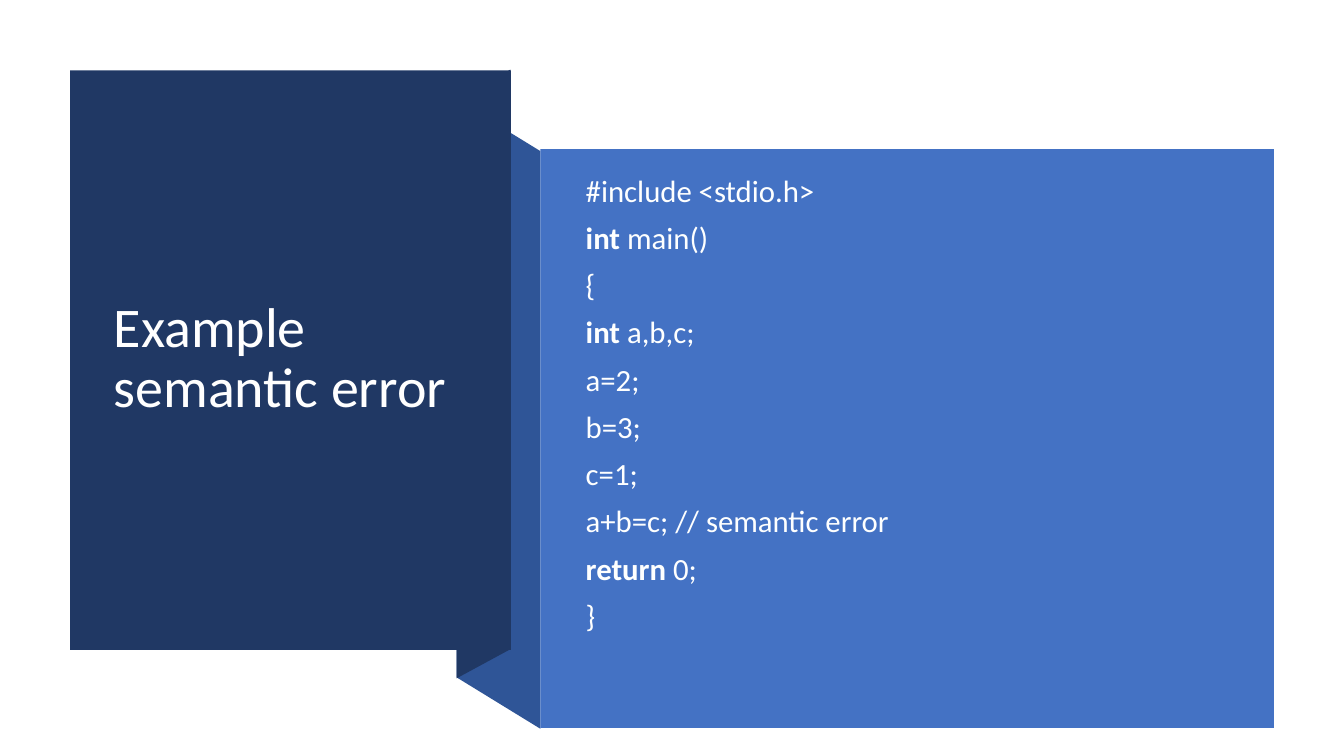
from dataclasses import dataclass

from lxml import etree
from pptx import Presentation
from pptx.dml.color import RGBColor
from pptx.enum.shapes import MSO_SHAPE
from pptx.enum.text import MSO_ANCHOR, MSO_AUTO_SIZE, PP_ALIGN
from pptx.oxml.ns import qn
from pptx.util import Pt

RECTANGLE = MSO_SHAPE.RECTANGLE
MIDDLE = MSO_ANCHOR.MIDDLE
NO_AUTOFIT = MSO_AUTO_SIZE.NONE
LEFT = PP_ALIGN.LEFT


@dataclass(frozen=True)
class Theme:
    navy: RGBColor = RGBColor(0x20, 0x38, 0x64)
    fold: RGBColor = RGBColor(0x2F, 0x55, 0x97)
    blue: RGBColor = RGBColor(0x44, 0x72, 0xC4)
    title_text: RGBColor = RGBColor(0xFF, 0xFF, 0xFF)
    code_text: RGBColor = RGBColor(0xFE, 0xFF, 0xFF)
    font: str = "Calibri"
    title_size: float = 40
    code_size: float = 22


@dataclass(frozen=True)
class Box:
    left: float
    top: float
    width: float
    height: float

    def inset(self, left, top, right, bottom):
        return Box(self.left + left, self.top + top,
                   self.width - left - right, self.height - top - bottom)

    def lengths(self):
        return [Pt(n) for n in (self.left, self.top, self.width, self.height)]


THEME = Theme()
KEYWORDS = ("int", "return")
TITLE = "Example semantic error"
CODE = [
    "#include <stdio.h>",
    "int main()",
    "{",
    "int a,b,c;",
    "a=2;",
    "b=3;",
    "c=1;",
    "a+b=c; // semantic error",
    "return 0;",
    "}",
]


def paint(shape, color):
    shape.shadow.inherit = False
    shape.fill.solid()
    shape.fill.fore_color.rgb = color
    shape.line.fill.background()


def add_panel(slide, box, color):
    paint(slide.shapes.add_shape(RECTANGLE, *box.lengths()), color)


def add_fold_face(slide, box, slant, color):
    """Draw an upright parallelogram; a positive slant lowers its right edge."""
    left, right = box.left, box.left + box.width
    left_drop, right_drop = max(-slant, 0), max(slant, 0)
    edge = box.height - abs(slant)
    corners = [
        (left, box.top + left_drop),
        (right, box.top + right_drop),
        (right, box.top + right_drop + edge),
        (left, box.top + left_drop + edge),
    ]
    points = [(Pt(x), Pt(y)) for x, y in corners]
    outline = slide.shapes.build_freeform(*points[0])
    outline.add_line_segments(points[1:])
    paint(outline.convert_to_shape(), color)


def place_in_front(slide, placeholder, box):
    """Move a placeholder into the box, above everything drawn so far."""
    (placeholder.left, placeholder.top,
     placeholder.width, placeholder.height) = box.lengths()
    slide.shapes.element.append(placeholder.element)
    frame = placeholder.text_frame
    frame.word_wrap = True
    frame.auto_size = NO_AUTOFIT
    frame.vertical_anchor = MIDDLE
    return frame


def format_paragraph(paragraph, size, color):
    paragraph.alignment = LEFT
    paragraph.line_spacing = 0.9
    for run in paragraph.runs:
        run.font.name = THEME.font
        run.font.size = Pt(size)
        run.font.color.rgb = color


def remove_bullet(paragraph):
    properties = paragraph._p.get_or_add_pPr()
    properties.set("marL", "0")
    properties.set("indent", "0")
    etree.SubElement(properties, qn("a:buNone"))


def add_title_panel(slide, box):
    add_panel(slide, box, THEME.navy)
    frame = place_in_front(slide, slide.shapes.title, box.inset(24, 27, 24, 28))
    frame.text = TITLE
    format_paragraph(frame.paragraphs[0], THEME.title_size, THEME.title_text)


def add_code_line(paragraph, line):
    keyword, space, rest = line.partition(" ")
    if keyword in KEYWORDS:
        paragraph.add_run().text = keyword
        paragraph.add_run().text = space + rest
        paragraph.runs[0].font.bold = True
    else:
        paragraph.text = line
    paragraph.space_before = Pt(10)
    paragraph.space_after = Pt(0)
    format_paragraph(paragraph, THEME.code_size, THEME.code_text)
    remove_bullet(paragraph)


def add_code_panel(slide, box):
    add_panel(slide, box, THEME.blue)
    frame = place_in_front(slide, slide.placeholders[1],
                           box.inset(25.2, 28.8, 30.2, 43.2))
    # The deeper bottom margin lifts the centred listing by half a line.
    frame.margin_bottom = Pt(37.4)
    for index, line in enumerate(CODE):
        paragraph = frame.add_paragraph() if index else frame.paragraphs[0]
        add_code_line(paragraph, line)


def build_example_slide(presentation):
    slide = presentation.slides.add_slide(presentation.slide_layouts[1])
    add_fold_face(slide, Box(326.2, 71.3, 59.8, 449.3), 36.7, THEME.fold)
    add_fold_face(slide, Box(326.2, 49.7, 38.4, 434.8), -20.8, THEME.navy)
    add_title_panel(slide, Box(50, 50.2, 315, 414))
    add_code_panel(slide, Box(386, 106.6, 524, 413.3))


def main():
    presentation = Presentation()
    presentation.slide_width = Pt(960)
    presentation.slide_height = Pt(540)
    build_example_slide(presentation)
    presentation.save("out.pptx")


if __name__ == "__main__":
    main()
